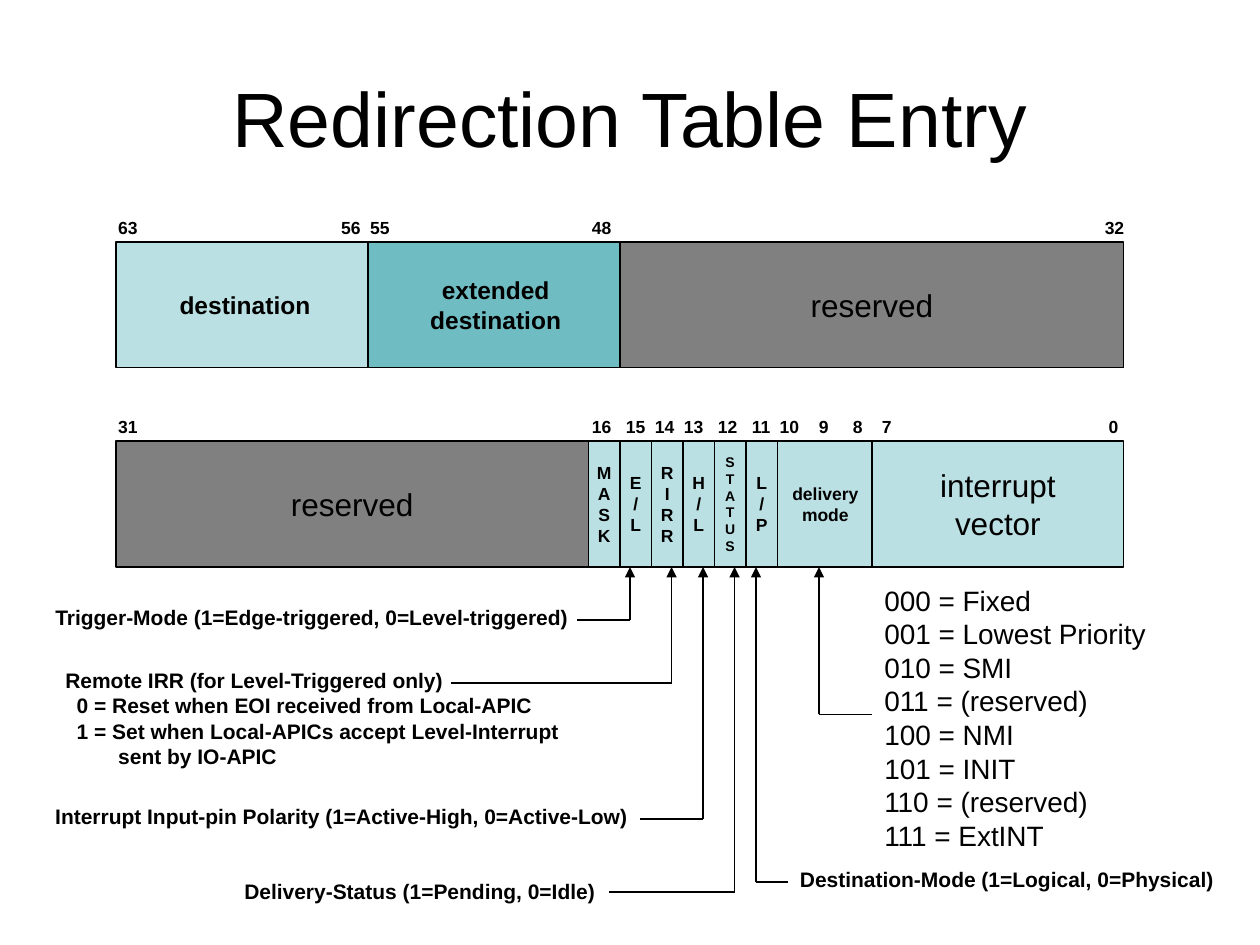
from lxml.etree import SubElement
from pptx import Presentation
from pptx.dml.color import RGBColor
from pptx.enum.shapes import MSO_CONNECTOR, MSO_SHAPE
from pptx.enum.text import MSO_ANCHOR, PP_ALIGN
from pptx.oxml.ns import qn
from pptx.util import Inches, Pt

BLACK, GRAY, LIGHT, TEAL = "000000", "808080", "BBE0E3", "6FBDC3"
LEFT, BIT, ROW_HEIGHT = 0.92, 0.25, 1
HIGH_TOP, LOW_TOP = 1.92, 3.5
LABEL_LEFT = 0.84
INSET = 0.1

# Each field: width in bits, text, fill, size, bold, optional left margin
HIGH_FIELDS = [
    (8, "destination", LIGHT, 14, True, 0.05),
    (8, "extended\ndestination", TEAL, 14, True, 0.03),
    (16, "reserved", GRAY, 18, False),
]
LOW_FIELDS = [
    (15, "reserved", GRAY, 18, False),
    *[(1, "\n".join(word), LIGHT, 8 if word == "STATUS" else 10, True)
      for word in ("MASK", "E/L", "RIRR", "H/L", "STATUS", "L/P")],
    (3, "delivery\nmode", LIGHT, 10, True, 0.01),
    (8, "interrupt\nvector", LIGHT, 18, False),
]

# Each bit number: text and left edge in inches
HIGH_BITS = [("63", 0.94), ("56", 2.71), ("55", 2.94), ("48", 4.7), ("32", 8.77)]
LOW_BITS = [("31", 0.94), ("16", 4.7), ("15", 4.97), ("14", 5.2), ("13", 5.43),
            ("12", 5.7), ("11", 5.97), ("10", 6.19), ("9", 6.5), ("8", 6.77),
            ("7", 7), ("0", 8.8)]

DELIVERY_MODES = ["Fixed", "Lowest Priority", "SMI", "(reserved)",
                  "NMI", "INIT", "(reserved)", "ExtINT"]

# Each note: box (left, top, width, height), lines as (text, indent)
NOTES = [
    ((0.34, 4.75, 4.28, 0.3),
     [("Trigger-Mode (1=Edge-triggered, 0=Level-triggered)", 0)]),
    ((0.42, 5.25, 4.17, 0.9),
     [("Remote IRR (for Level-Triggered only)", 0),
      ("0 = Reset when EOI received from Local-APIC", 0.09),
      ("1 = Set when Local-APICs accept Level-Interrupt", 0.09),
      ("sent by IO-APIC", 0.42)]),
    ((0.34, 6.33, 4.74, 0.3),
     [("Interrupt Input-pin Polarity (1=Active-High, 0=Active-Low)", 0)]),
    ((1.84, 6.92, 2.99, 0.3), [("Delivery-Status (1=Pending, 0=Idle)", 0)]),
    ((6.25, 6.83, 3.49, 0.3), [("Destination-Mode (1=Logical, 0=Physical)", 0)]),
]

# Each pointer: note end, field position, height of the bend
POINTERS = [(4.58, 5, 4.92), (3.58, 5.33, 5.42), (5.08, 5.58, 6.5),
            (4.83, 5.83, 7.08), (6.25, 6, 7), (6.92, 6.5, 5.67)]


def color(value):
    return RGBColor.from_string(value)


def set_font(para, size, bold=False):
    font = para.font
    font.name, font.size, font.bold = "Arial", Pt(size), bold
    font.color.rgb = color(BLACK)


def add_title(page, text):
    title = page.shapes.title
    title.left, title.top, title.width, title.height = map(Inches, (0.5, 0.3, 9, 1.25))
    frame = title.text_frame
    frame.text = text
    frame.vertical_anchor = MSO_ANCHOR.MIDDLE
    frame.paragraphs[0].alignment = PP_ALIGN.CENTER
    set_font(frame.paragraphs[0], 44)


def add_field(page, box, text, fill, size, bold, left_margin=0):
    field = page.shapes.add_shape(MSO_SHAPE.RECTANGLE, *map(Inches, box))
    field.shadow.inherit = False
    field.fill.solid()
    field.fill.fore_color.rgb = color(fill)
    field.line.color.rgb = color(BLACK)
    field.line.width = Pt(0.75)
    frame = field.text_frame
    frame.margin_left, frame.margin_right = Inches(left_margin), 0
    frame.word_wrap = False
    frame.vertical_anchor = MSO_ANCHOR.MIDDLE
    frame.text = text
    for para in frame.paragraphs:
        para.alignment = PP_ALIGN.CENTER
        set_font(para, size, bold)


def add_register(page, top, fields):
    """Lay the fields side by side, each as wide as its number of bits."""
    column = 0
    for bits, *style in fields:
        box = (LEFT + column * BIT, top, bits * BIT, ROW_HEIGHT)
        add_field(page, box, *style)
        column += bits


def add_text(page, box, lines, size, bold=False):
    """Add a text box from (text, indent) lines and return its paragraphs."""
    frame = page.shapes.add_textbox(*map(Inches, box)).text_frame
    frame.word_wrap = False
    frame.margin_right = 0
    frame.text = "\n".join(text for text, _ in lines)
    for para, (_, indent) in zip(frame.paragraphs, lines):
        set_font(para, size, bold)
        if indent:
            para._p.get_or_add_pPr().set("marL", str(Inches(indent)))
    return frame.paragraphs


def add_bit_numbers(page, register_top, bits):
    """Write the bit numbers above a register, each at its own tab stop."""
    text = "\t".join(number for number, _ in bits)
    box = (LABEL_LEFT, register_top - 0.25, 8.2, 0.27)
    para = add_text(page, box, [(text, 0)], 10, True)[0]
    properties = para._p.get_or_add_pPr()
    stops = properties.makeelement(qn("a:tabLst"))
    properties.insert(0, stops)
    for _, left in bits[1:]:
        position = Inches(left - LABEL_LEFT - INSET)
        SubElement(stops, qn("a:tab"), pos=str(position), algn="l")


def add_line(page, start, end, arrow=False):
    line = page.shapes.add_connector(MSO_CONNECTOR.STRAIGHT, *map(Inches, start + end))
    line.line.color.rgb = color(BLACK)
    line.line.width = Pt(0.75)
    if arrow:
        SubElement(line.line._get_or_add_ln(), qn("a:tailEnd"), type="triangle")
    SubElement(line._element.spPr, qn("a:effectLst"))


def add_pointer(page, note_x, field_x, bend_y):
    add_line(page, (note_x, bend_y), (field_x, bend_y))
    add_line(page, (field_x, bend_y), (field_x, LOW_TOP + ROW_HEIGHT), arrow=True)


def main():
    deck = Presentation()
    deck.slide_width, deck.slide_height = Inches(10), Inches(7.5)
    page = deck.slides.add_slide(deck.slide_layouts[5])
    add_title(page, "Redirection Table Entry")
    for top, fields, bits in ((HIGH_TOP, HIGH_FIELDS, HIGH_BITS),
                              (LOW_TOP, LOW_FIELDS, LOW_BITS)):
        add_register(page, top, fields)
        add_bit_numbers(page, top, bits)
    modes = [(f"{code:03b} = {mode}", 0) for code, mode in enumerate(DELIVERY_MODES)]
    add_text(page, (6.92, 4.58, 2.27, 2.24), modes, 16)
    for box, lines in NOTES:
        add_text(page, box, lines, 12, True)
    for pointer in POINTERS:
        add_pointer(page, *pointer)
    deck.save("out.pptx")


if __name__ == "__main__":
    main()
